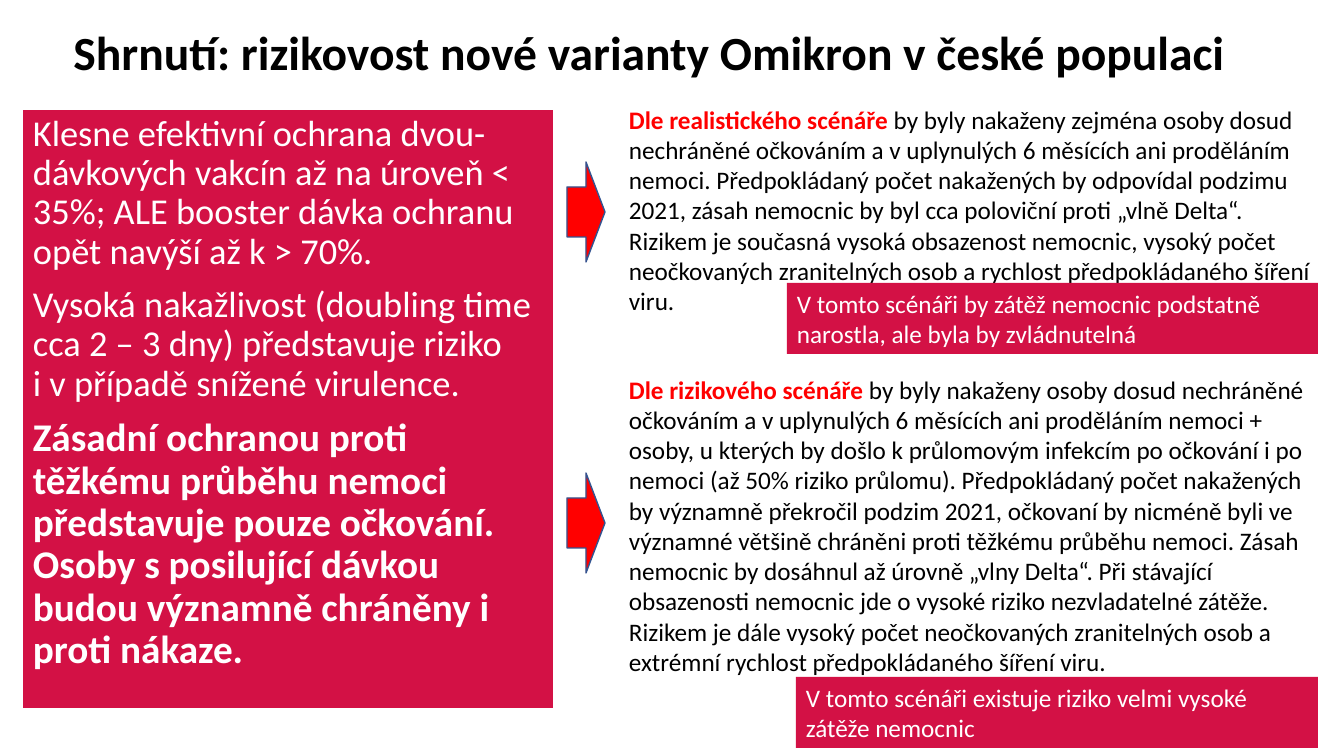
from pptx import Presentation
from pptx.dml.color import RGBColor
from pptx.enum.shapes import MSO_SHAPE
from pptx.enum.text import MSO_ANCHOR, MSO_AUTO_SIZE, PP_ALIGN
from pptx.util import Emu, Pt

SLIDE_WIDTH, SLIDE_HEIGHT = 1344, 756
SCALE = 12192000 / SLIDE_WIDTH
CRIMSON, RED, NAVY = "D31145", "FF0000", "325491"
WHITE, BLACK = "FFFFFF", "000000"

TITLE = "Shrnutí: rizikovost nové varianty Omikron v české populaci "
FINDINGS = [
    ("Klesne efektivní ochrana dvou-dávkových vakcín až na úroveň < 35%; "
     "ALE booster dávka ochranu opět navýší až k > 70%.", 26, False),
    ("Vysoká nakažlivost (doubling time cca 2 – 3 dny) představuje riziko\v"
     "i v případě snížené virulence.", 26, False),
    ("Zásadní ochranou proti těžkému průběhu nemoci představuje pouze očkování. "
     "Osoby s posilující dávkou budou významně chráněny i proti nákaze.", 28, True),
]
REALISTIC = (
    "by byly nakaženy zejména osoby dosud nechráněné očkováním a v uplynulých "
    "6 měsících ani proděláním nemoci. Předpokládaný počet nakažených by odpovídal "
    "podzimu 2021, zásah nemocnic by byl cca poloviční proti „vlně Delta“. "
    "Rizikem je současná vysoká obsazenost nemocnic, vysoký počet neočkovaných "
    "zranitelných osob a rychlost předpokládaného šíření viru."
)
RISKY = (
    "by byly nakaženy osoby dosud nechráněné očkováním a v uplynulých 6 měsících "
    "ani proděláním nemoci + osoby, u kterých by došlo k průlomovým infekcím po "
    "očkování i po nemoci (až 50% riziko průlomu). Předpokládaný počet nakažených "
    "by významně překročil podzim 2021, očkovaní by nicméně byli ve významné většině "
    "chráněni proti těžkému průběhu nemoci. Zásah nemocnic by dosáhnul až úrovně "
    "„vlny Delta“. Při stávající obsazenosti nemocnic jde o vysoké riziko "
    "nezvladatelné zátěže. Rizikem je dále vysoký počet neočkovaných zranitelných "
    "osob a extrémní rychlost předpokládaného šíření viru."
)
REALISTIC_OUTCOME = ("V tomto scénáři by zátěž nemocnic podstatně narostla, "
                     "ale byla by zvládnutelná")
RISKY_OUTCOME = "V tomto scénáři existuje riziko velmi vysoké zátěže nemocnic"


def px(length):
    return Emu(round(length * SCALE))


def color(value):
    return RGBColor.from_string(value)


def style(font, size, ink, bold=False):
    font.name = "Calibri"
    font.size = Pt(size)
    font.bold = bold
    font.color.rgb = color(ink)


def add_text_box(page, box):
    frame = page.shapes.add_textbox(*map(px, box)).text_frame
    frame.word_wrap = True
    return frame


def add_block(page, kind, box, fill, line=None):
    shape = page.shapes.add_shape(kind, *map(px, box))
    shape.shadow.inherit = False
    shape.fill.solid()
    shape.fill.fore_color.rgb = color(fill)
    if line:
        shape.line.color.rgb = color(line)
        shape.line.width = Pt(1)
    else:
        shape.line.fill.background()
    frame = shape.text_frame
    frame.word_wrap = True
    frame.vertical_anchor = MSO_ANCHOR.TOP
    return frame


def add_title(page, box):
    para = add_text_box(page, box).paragraphs[0]
    para.text = TITLE
    para.alignment = PP_ALIGN.CENTER
    para.line_spacing = 0.9
    style(para.font, 34, BLACK, True)


def add_findings(page, box):
    frame = add_block(page, MSO_SHAPE.RECTANGLE, box, CRIMSON)
    for index, (text, size, bold) in enumerate(FINDINGS):
        para = frame.add_paragraph() if index else frame.paragraphs[0]
        para.text = text
        para.alignment = PP_ALIGN.LEFT
        para.line_spacing = 0.9
        para.space_before = Pt(10 if index else 0)
        style(para.font, size, WHITE, bold)


def add_scenario(page, box, lead, body, arrow_top, outcome, outcome_left, outcome_top):
    left, top, width, height = box
    add_block(page, MSO_SHAPE.RIGHT_ARROW, (left - 52, top + arrow_top, 38, 100), RED, NAVY)

    frame = add_text_box(page, box)
    frame.auto_size = MSO_AUTO_SIZE.SHAPE_TO_FIT_TEXT
    para = frame.paragraphs[0]
    for text, ink, bold in ((lead, RED, True), (body, BLACK, False)):
        span = para.add_run()
        span.text = text
        style(span.font, 18, ink, bold)

    outcome_box = (left + outcome_left, top + outcome_top, width - outcome_left - 4, 71)
    frame = add_block(page, MSO_SHAPE.RECTANGLE, outcome_box, CRIMSON)
    frame.auto_size = MSO_AUTO_SIZE.SHAPE_TO_FIT_TEXT
    para = frame.paragraphs[0]
    para.text = outcome
    para.alignment = PP_ALIGN.LEFT
    style(para.font, 18, WHITE)


def main():
    deck = Presentation()
    deck.slide_width, deck.slide_height = px(SLIDE_WIDTH), px(SLIDE_HEIGHT)
    page = deck.slides.add_slide(deck.slide_layouts[6])
    add_title(page, (23, 24, 1263, 119))
    add_findings(page, (23, 110, 530, 598))
    add_scenario(page, (619, 99, 703, 224), "Dle realistického scénáře ", REALISTIC,
                 63, REALISTIC_OUTCOME, 168, 184)
    add_scenario(page, (619, 369, 703, 315), "Dle rizikového scénáře ", RISKY,
                 104, RISKY_OUTCOME, 177, 308)
    deck.save("out.pptx")


if __name__ == "__main__":
    main()
